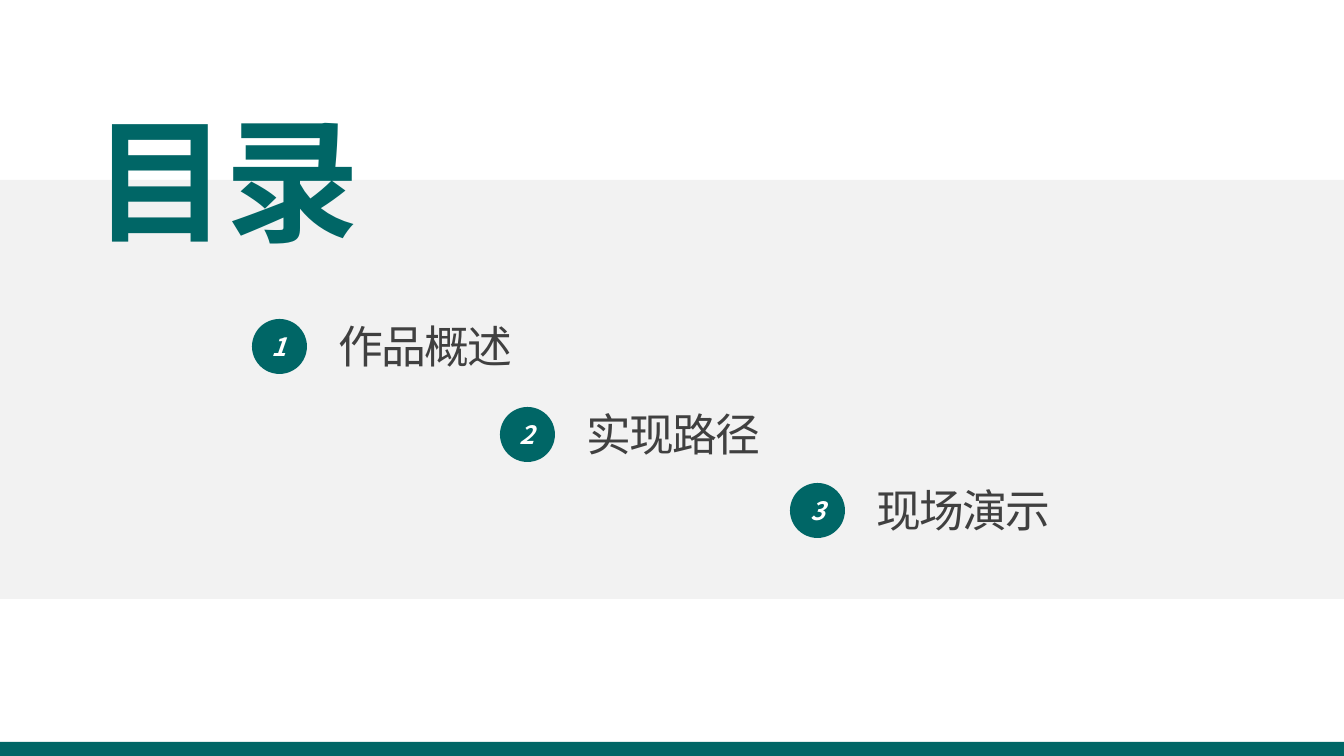
from dataclasses import dataclass

from lxml import etree
from pptx import Presentation
from pptx import util as u
from pptx.dml.color import RGBColor
from pptx.enum import shapes, text
from pptx.oxml.ns import qn

TITLE = "目录"
AGENDA = [
    ("作品概述", 252, 319),
    ("实现路径", 500, 407),
    ("现场演示", 790, 483),
]


@dataclass(frozen=True)
class Theme:
    font: str = "Noto Sans CJK SC"
    accent: str = "006666"
    band: str = "F2F2F2"
    body: str = "404040"
    white: str = "FFFFFF"
    title_pt: int = 96
    item_pt: int = 32
    number_pt: int = 18
    tracking: int = -150


THEME = Theme()
SLIDE_W, SLIDE_H = 1344, 756
BADGE = 55
LABEL_DX, LABEL_DY, LABEL_W, LABEL_H = 77, -5, 344, 65
SCALE = u.Inches(1) / 100.8


def px(*lengths):
    return [u.Emu(round(n * SCALE)) for n in lengths]


def write(sp, words, size, color, align, anchor=text.MSO_ANCHOR.TOP,
          bold=False, italic=False, tracking=0):
    tf = sp.text_frame
    tf.word_wrap = True
    tf.auto_size = text.MSO_AUTO_SIZE.NONE
    tf.vertical_anchor = anchor
    tf.text = words
    p = tf.paragraphs[0]
    p.alignment = align
    f = p.font
    f.name, f.size, f.bold, f.italic = THEME.font, u.Pt(size), bold, italic
    f.color.rgb = RGBColor.from_string(color)
    props = p._p.pPr.find(qn("a:defRPr"))
    props.set("spc", str(tracking))
    ea = etree.Element(qn("a:ea"), typeface=THEME.font)
    props.find(qn("a:latin")).addnext(ea)


def add_block(parent, kind, box, color):
    sp = parent.add_shape(kind, *px(*box))
    sp.shadow.inherit = False
    sp.fill.solid()
    sp.fill.fore_color.rgb = RGBColor.from_string(color)
    sp.line.fill.background()
    return sp


def add_item(s, number, label, x, y):
    group = s.shapes.add_group_shape().shapes
    badge = add_block(group, shapes.MSO_SHAPE.OVAL,
                      (x, y, BADGE, BADGE), THEME.accent)
    badge_tf = badge.text_frame
    badge_tf.margin_left = badge_tf.margin_right = 0
    write(badge, str(number), THEME.number_pt, THEME.white,
          text.PP_ALIGN.CENTER, text.MSO_ANCHOR.MIDDLE, bold=True, italic=True)
    box = group.add_textbox(*px(x + LABEL_DX, y + LABEL_DY, LABEL_W, LABEL_H))
    write(box, label, THEME.item_pt, THEME.body, text.PP_ALIGN.LEFT,
          tracking=THEME.tracking)


def main():
    prs = Presentation()
    prs.slide_width, prs.slide_height = px(SLIDE_W, SLIDE_H)
    s = prs.slides.add_slide(prs.slide_layouts[5])

    band = add_block(s.shapes, shapes.MSO_SHAPE.RECTANGLE,
                     (0, 180, SLIDE_W, 419), THEME.band)
    title = s.shapes.title
    title._element.addprevious(band._element)
    title.left, title.top, title.width, title.height = px(83, 92, 299, 173)
    write(title, TITLE, THEME.title_pt, THEME.accent, text.PP_ALIGN.JUSTIFY,
          bold=True, tracking=THEME.tracking)

    for number, (label, x, y) in enumerate(AGENDA, 1):
        add_item(s, number, label, x, y)

    add_block(s.shapes, shapes.MSO_SHAPE.RECTANGLE,
              (0, 742, SLIDE_W, 18), THEME.accent)
    prs.save("out.pptx")


if __name__ == "__main__":
    main()
